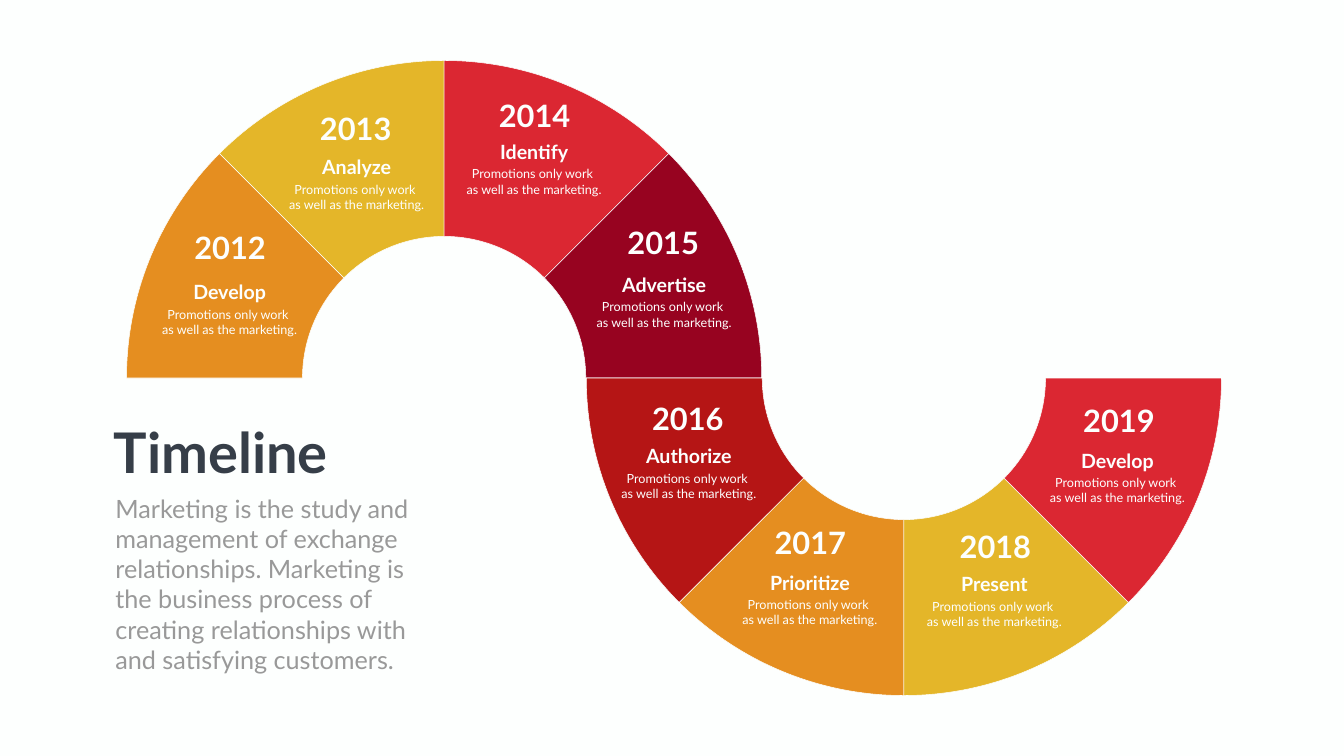
from dataclasses import dataclass
from math import cos, radians, sin, tan

from pptx import Presentation as create_presentation
from pptx.dml.color import RGBColor
from pptx.enum.text import MSO_AUTO_SIZE as AutoSize, PP_PARAGRAPH_ALIGNMENT as Alignment
from pptx.oxml.ns import qn
from pptx.oxml.xmlchemy import OxmlElement as create_element
from pptx.shapes.autoshape import Shape
from pptx.slide import Slide
from pptx.util import Inches, Pt

COLORS = {
    "paper": "FDFFFE",
    "orange": "E58E20",
    "yellow": "E4B629",
    "red": "DB2732",
    "wine": "970320",
    "brick": "B51515",
    "ink": "363E48",
    "gray": "999999",
}
FONT_NAME = "Lato"
CENTER_Y = 7.5
OUTER_RADIUS = 6.3
INNER_RADIUS = 2.81
SEGMENT_ANGLE = 45
SEGMENTS_PER_ARCH = 4
LABEL_WIDTH = 2.61
DETAIL_WIDTH = 4.02
DETAIL_DROP = 0.53
DETAIL_LINES = ["Promotions only work ", "as well as the marketing."]


@dataclass
class Arch:
    center_x: float
    direction: int


@dataclass
class Milestone:
    year: str
    caption: str
    color: str
    year_at: tuple[float, float]
    caption_at: tuple[float, float]


@dataclass
class TextStyle:
    size: int
    color: str
    bold: bool = False
    alignment: Alignment = Alignment.CENTER
    wrap: bool = True


ARCHES = [Arch(8.81, 1), Arch(17.93, -1)]
MILESTONES = [
    Milestone("2012", "Develop", "orange", (3.26, 4.48), (3.25, 5.51)),
    Milestone("2013", "Analyze", "yellow", (5.75, 2.12), (5.77, 3.03)),
    Milestone("2014", "Identify", "red", (9.3, 1.87), (9.29, 2.72)),
    Milestone("2015", "Advertise", "wine", (11.85, 4.39), (11.87, 5.36)),
    Milestone("2016", "Authorize", "brick", (12.34, 7.89), (12.36, 8.76)),
    Milestone("2017", "Prioritize", "orange", (14.77, 10.35), (14.76, 11.27)),
    Milestone("2018", "Present", "yellow", (18.44, 10.43), (18.42, 11.3)),
    Milestone("2019", "Develop", "red", (20.89, 7.92), (20.86, 8.85)),
]
YEAR_STYLE = TextStyle(44, "paper", bold=True)
CAPTION_STYLE = TextStyle(28, "paper", bold=True)
DETAIL_STYLE = TextStyle(18, "paper")
TITLE_STYLE = TextStyle(80, "ink", bold=True, alignment=Alignment.LEFT, wrap=False)
BODY_STYLE = TextStyle(36, "gray", alignment=Alignment.LEFT)


def rgb(name: str) -> RGBColor:
    return RGBColor.from_string(COLORS[name])


def arc_points(arch: Arch, radius: float, start: int, end: int) -> list[tuple[int, int]]:
    handle = 4 / 3 * tan(radians(end - start) / 4)
    points = []
    for angle, pull in ((start, 0), (start, handle), (end, -handle), (end, 0)):
        cosine, sine = cos(radians(angle)), sin(radians(angle))
        x = arch.center_x + radius * (cosine - pull * sine)
        y = CENTER_Y + radius * (sine + pull * cosine)
        points.append((Inches(x), Inches(y)))
    return points


def round_edges(shape: Shape) -> None:
    lines = list(shape.element.iter(qn("a:lnTo")))
    for edge in (lines[:3], lines[4:7]):
        curve = create_element("a:cubicBezTo")
        edge[0].addprevious(curve)
        for line in edge:
            curve.append(line[0])
            line.getparent().remove(line)


def draw_segment(slide: Slide, arch: Arch, position: int, color: str) -> None:
    start = 180 + arch.direction * SEGMENT_ANGLE * position
    end = start + arch.direction * SEGMENT_ANGLE
    points = arc_points(arch, OUTER_RADIUS, start, end)
    points += arc_points(arch, INNER_RADIUS, end, start)
    builder = slide.shapes.build_freeform(*points[0])
    builder.add_line_segments(points[1:], close=True)
    shape = builder.convert_to_shape()
    round_edges(shape)
    shape.shadow.inherit = False
    shape.fill.solid()
    shape.fill.fore_color.rgb = rgb(color)
    shape.line.color.rgb = rgb("paper")
    shape.line.width = Pt(0.75)


def draw_text(
    slide: Slide,
    position: tuple[float, float],
    size: tuple[float, float],
    lines: list[str],
    style: TextStyle,
) -> None:
    box = slide.shapes.add_textbox(*map(Inches, position + size))
    frame = box.text_frame
    frame.word_wrap = style.wrap
    frame.auto_size = AutoSize.SHAPE_TO_FIT_TEXT
    frame.text = "\n".join(lines)
    font_format = {"name": FONT_NAME, "size": Pt(style.size), "bold": style.bold}
    for paragraph in frame.paragraphs:
        paragraph.alignment = style.alignment
        for run in paragraph.runs:
            for attribute, value in font_format.items():
                setattr(run.font, attribute, value)
            run.font.color.rgb = rgb(style.color)


def draw_label(slide: Slide, milestone: Milestone) -> None:
    left, top = milestone.caption_at
    detail_at = (left - (DETAIL_WIDTH - LABEL_WIDTH) / 2, top + DETAIL_DROP)
    draw_text(slide, milestone.year_at, (LABEL_WIDTH, 0.84), [milestone.year], YEAR_STYLE)
    draw_text(slide, milestone.caption_at, (LABEL_WIDTH, 0.57), [milestone.caption], CAPTION_STYLE)
    draw_text(slide, detail_at, (DETAIL_WIDTH, 0.71), DETAIL_LINES, DETAIL_STYLE)


def main() -> None:
    presentation = create_presentation()
    presentation.slide_width = Inches(26.66)
    presentation.slide_height = Inches(15)
    slide = presentation.slides.add_slide(presentation.slide_layouts[6])
    slide.background.fill.solid()
    slide.background.fill.fore_color.rgb = rgb("paper")

    for index, milestone in enumerate(MILESTONES):
        arch_index, position = divmod(index, SEGMENTS_PER_ARCH)
        draw_segment(slide, ARCHES[arch_index], position, milestone.color)
    for milestone in MILESTONES:
        draw_label(slide, milestone)

    draw_text(slide, (2.16, 8.24), (4.53, 1.45), ["Timeline"], TITLE_STYLE)
    description = (
        "Marketing is the study and management of exchange relationships. "
        "Marketing is the business process of creating relationships with "
        "and satisfying customers."
    )
    draw_text(slide, (2.19, 9.73), (6.54, 3.74), [description], BODY_STYLE)
    presentation.save("out.pptx")


if __name__ == "__main__":
    main()
